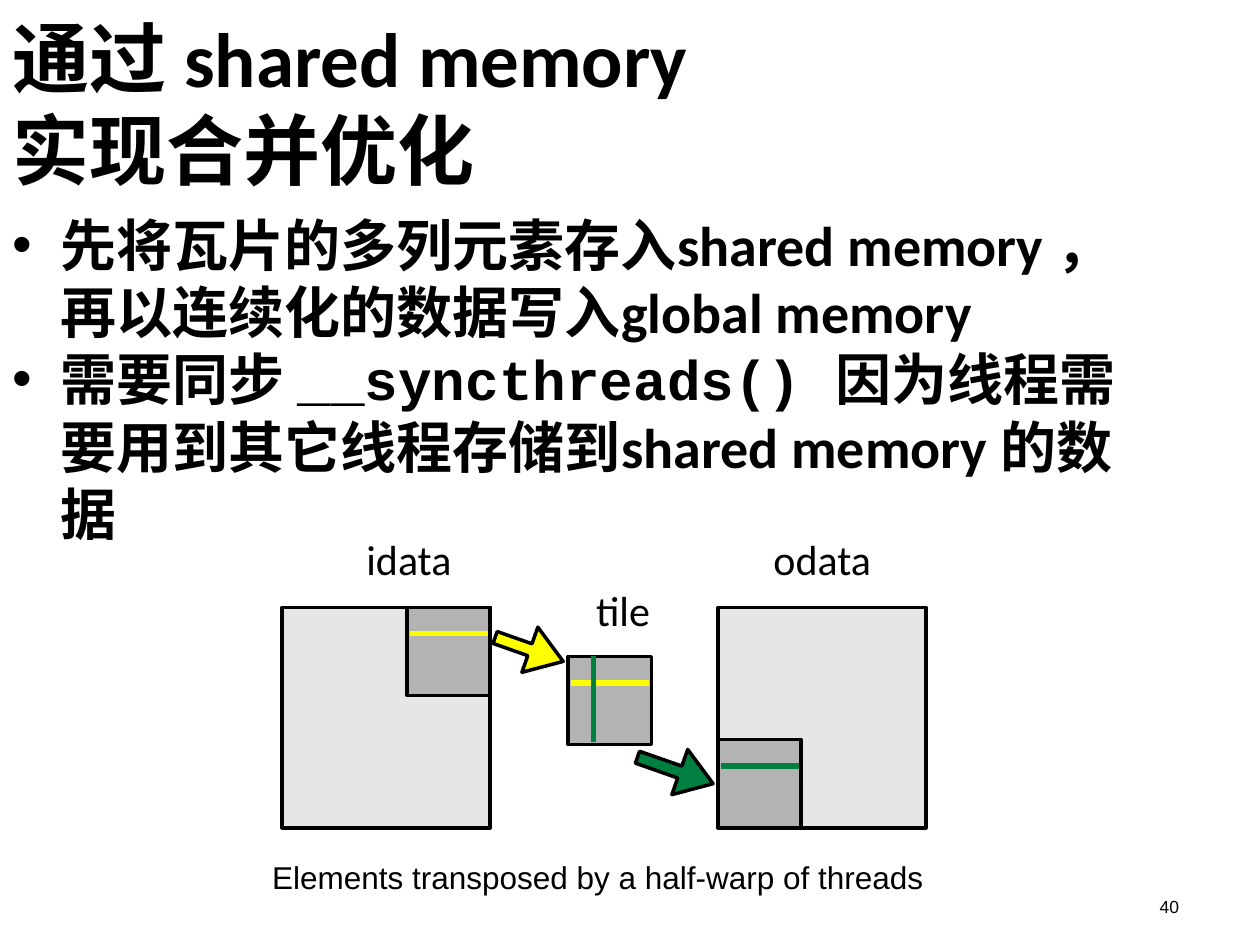
from math import hypot
from pptx import Presentation
from pptx.dml.color import RGBColor
from pptx.enum.shapes import MSO_CONNECTOR, MSO_SHAPE
from pptx.enum.text import MSO_ANCHOR, MSO_AUTO_SIZE, PP_ALIGN
from pptx.oxml import parse_xml
from pptx.oxml.ns import nsdecls
from pptx.util import Inches, Pt

THEME = {
    "ink": "000000", "pale": "E6E6E6", "grey": "B3B3B3",
    "row": "FFFF00", "col": "008040",
    "title": 44, "body": 32, "label": 24, "note": 18, "page": 10,
    "font": "Calibri", "sans": "Arial", "code": "Courier New",
}
TITLE = [["通过 shared memory ", "\v", "实现合并优化"]]
BODY = [
    ["先将瓦片的多列元素存入shared memory ，再以连续化的数据写入global memory"],
    ["需要同步 ", ("__syncthreads() 因为线程需要用到其它线程存储到", "code"),
     "shared memory 的数据"],
]
NOTE = "Elements transposed by a half-warp of threads"
LABELS = [("idata", 2.62, 4.14, 1.25), ("odata", 6.02, 4.14, 1.01),
          ("tile", 4.53, 4.54, 0.83)]

GRID, TILE = (1.65, 1.75), (0.66, 0.7)
TOP = 4.82
LEFT = {"idata": 2.24, "odata": 5.7}
LOW = TOP + GRID[1] - TILE[1]
TILES = {
    "idata": (LEFT["idata"] + GRID[0] - TILE[0], TOP),
    "tile": (4.51, 5.21),
    "odata": (LEFT["odata"], LOW),
}
STRIPES = [("idata", "row", "across"), ("tile", "row", "across"),
           ("tile", "col", "down"), ("odata", "col", "across")]
ARROWS = [((5.06, 6.01), (5.66, 6.22), "col"),
          ((3.93, 5.06), (4.47, 5.25), "row")]


def tint(name):
    return RGBColor.from_string(THEME[name])


def write(shape, paras, size, font="font", bold=False, align=PP_ALIGN.LEFT,
          anchor=MSO_ANCHOR.TOP, pad=(0.04,) * 4, wrap=True, bullet=False):
    frame = shape.text_frame
    frame.word_wrap, frame.auto_size = wrap, MSO_AUTO_SIZE.NONE
    frame.vertical_anchor = anchor
    (frame.margin_left, frame.margin_top,
     frame.margin_right, frame.margin_bottom) = map(Inches, pad)
    for i, parts in enumerate(paras):
        para = frame.add_paragraph() if i else frame.paragraphs[0]
        para.alignment, para.space_before = align, Pt(0)
        if bullet:
            props = para._p.get_or_add_pPr()
            props.set("marL", str(Inches(0.38)))
            props.set("indent", str(-Inches(0.38)))
            props.append(parse_xml(f'<a:buChar {nsdecls("a")} char="•"/>'))
        for part in parts:
            if part == "\v":
                para.add_line_break()
                continue
            text, face = part if isinstance(part, tuple) else (part, font)
            run = para.add_run()
            run.text = text
            run.font.name, run.font.size = THEME[face], Pt(THEME[size])
            run.font.bold, run.font.color.rgb = bold, tint("ink")


def place(shape, *box):
    shape.left, shape.top, shape.width, shape.height = map(Inches, box)
    return shape


def paint(shape, fill):
    shape.shadow.inherit = False
    shape.fill.solid()
    shape.fill.fore_color.rgb = tint(fill)
    shape.line.color.rgb, shape.line.width = tint("ink"), Pt(2)


def square(shapes, spot, size, fill):
    box = map(Inches, (*spot, *size))
    paint(shapes.add_shape(MSO_SHAPE.RECTANGLE, *box), fill)


def stripe(shapes, name, color, way):
    x, y = TILES[name]
    if way == "across":
        ends = (x + 0.02, y + 0.21, x + TILE[0] - 0.02, y + 0.21)
    else:
        ends = (x + 0.2, y, x + 0.2, y + TILE[1] - 0.02)
    line = shapes.add_connector(MSO_CONNECTOR.STRAIGHT, *map(Inches, ends))
    line.line.color.rgb, line.line.width = tint(color), Pt(3)
    line._element.spPr.append(parse_xml(f'<a:effectLst {nsdecls("a")}/>'))


def arrow(shapes, tail, tip, color, shaft=0.05, head=0.19, depth=0.28):
    dx, dy = tip[0] - tail[0], tip[1] - tail[1]
    span = hypot(dx, dy)
    ux, uy = dx / span, dy / span
    neck = span - depth
    plan = [(0, -shaft), (neck, -shaft), (neck, -head), (span, 0),
            (neck, head), (neck, shaft), (0, shaft)]
    dots = [(Inches(tail[0] + a * ux - b * uy), Inches(tail[1] + a * uy + b * ux))
            for a, b in plan]
    path = shapes.build_freeform(*dots[0])
    path.add_line_segments(dots[1:], close=True)
    paint(path.convert_to_shape(), color)


def main():
    deck = Presentation()
    deck.slide_width, deck.slide_height = Inches(10), Inches(7.5)
    slide = deck.slides.add_slide(deck.slide_layouts[1])
    shapes = slide.shapes
    head, body = slide.placeholders
    pad = (0.1, 0.05, 0.14, 0.05)
    write(place(head, 0, 0.3, 8.08, 1.03), TITLE, "title", bold=True,
          anchor=MSO_ANCHOR.MIDDLE, pad=pad)
    write(place(body, 0, 1.62, 9, 1.9), BODY, "body", bold=True, pad=pad,
          bullet=True)

    def label(text, box, size, **style):
        write(shapes.add_textbox(*map(Inches, box)), [[text]], size, **style)

    label("40", (9.14, 7.07, 0.28, 0.26), "page", font="sans",
          align=PP_ALIGN.CENTER, wrap=False)
    label(NOTE, (2.12, 6.81, 5.34, 0.39), "note", font="sans",
          pad=(0.04, 0, 0.04, 0), wrap=False)
    for x in LEFT.values():
        square(shapes, (x, TOP), GRID, "pale")
    for spot in TILES.values():
        square(shapes, spot, TILE, "grey")
    for text, x, y, wide in LABELS:
        label(text, (x, y, wide, 0.59), "label", align=PP_ALIGN.CENTER,
              anchor=MSO_ANCHOR.MIDDLE)
    for item in STRIPES:
        stripe(shapes, *item)
    for item in ARROWS:
        arrow(shapes, *item)
    deck.save("out.pptx")


if __name__ == "__main__":
    main()
